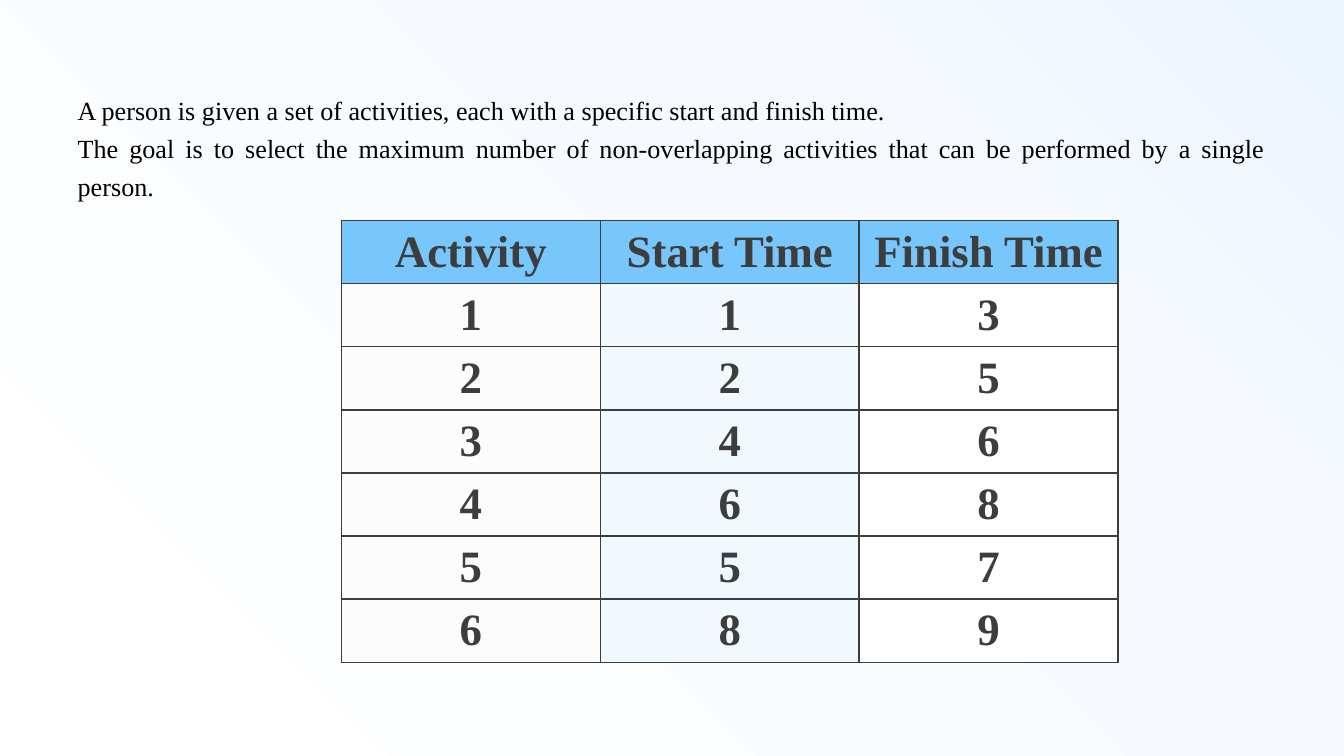
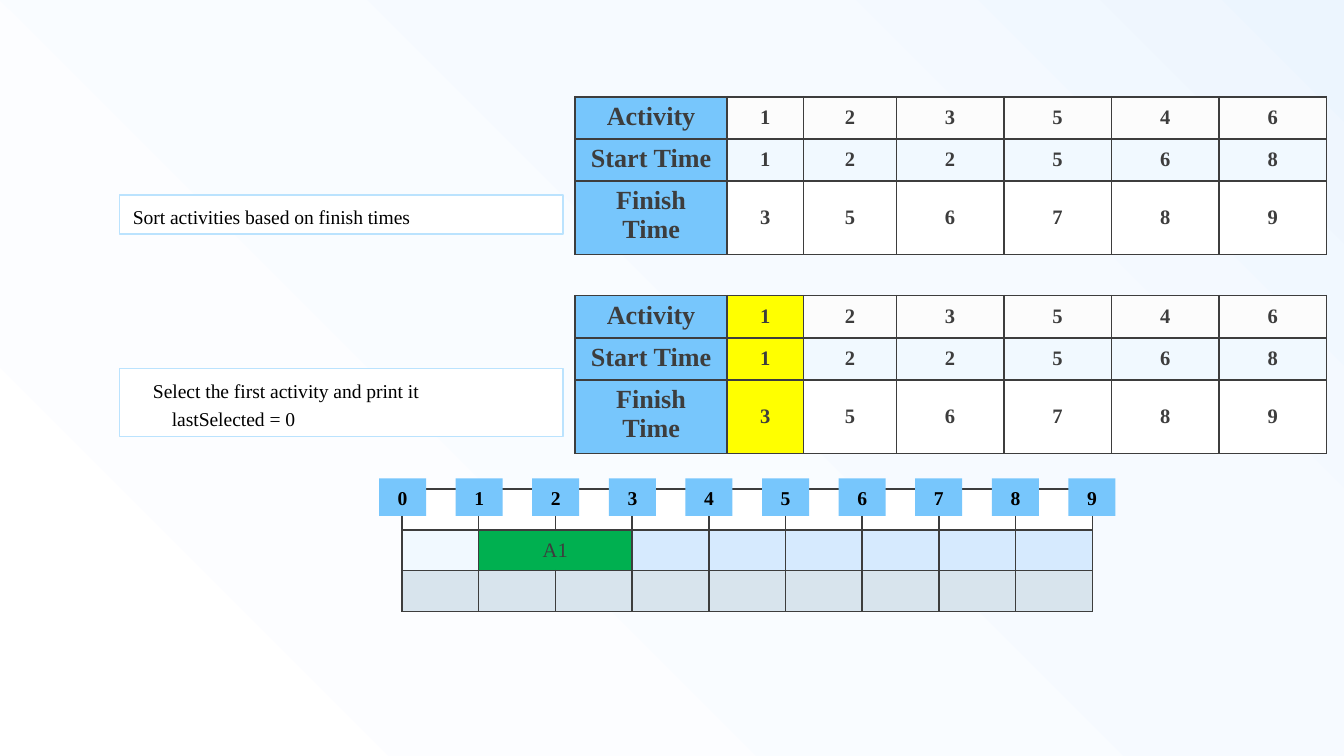
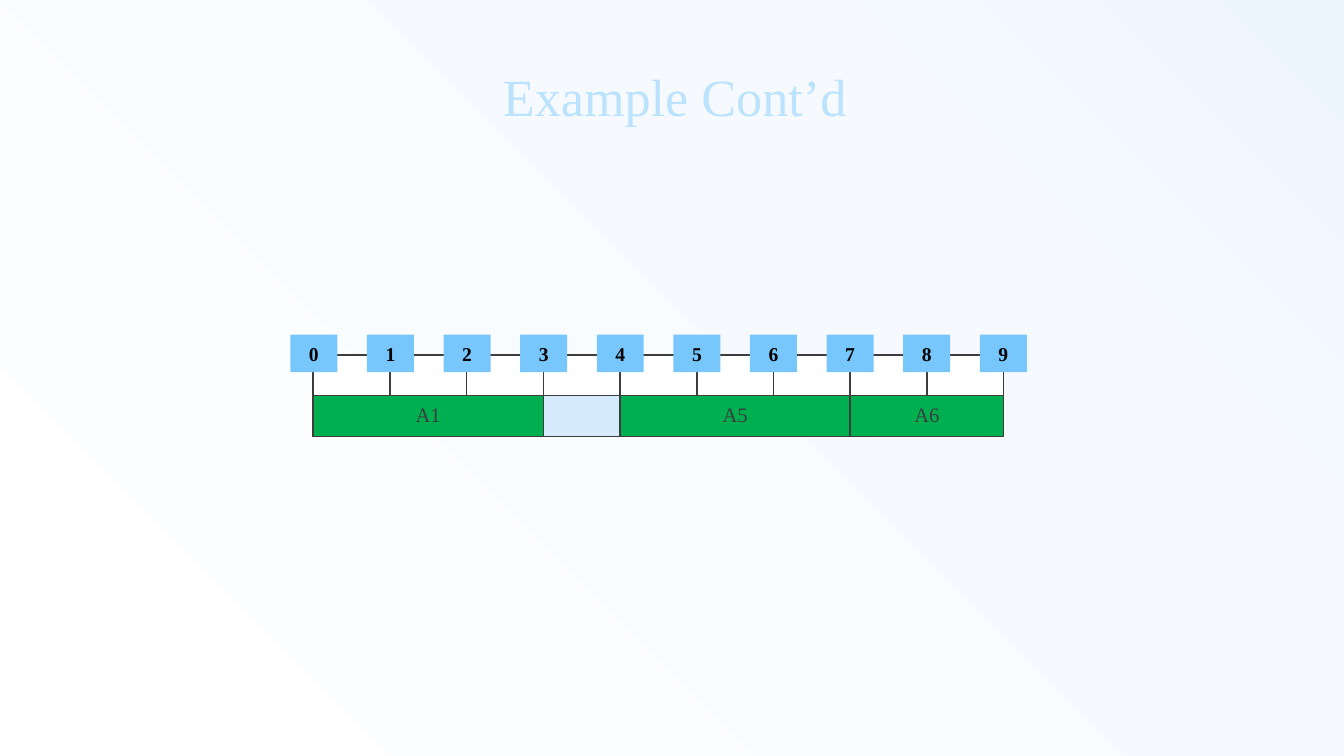
from lxml import etree
from pptx import Presentation
from pptx.dml.color import RGBColor
from pptx.enum.shapes import MSO_SHAPE
from pptx.enum.text import MSO_ANCHOR, PP_ALIGN
from pptx.oxml import parse_xml
from pptx.oxml.ns import nsdecls, qn
from pptx.util import Inches, Pt

RECT = MSO_SHAPE.RECTANGLE
TOP, MIDDLE = MSO_ANCHOR.TOP, MSO_ANCHOR.MIDDLE
LEFT, CENTER, JUSTIFY = PP_ALIGN.LEFT, PP_ALIGN.CENTER, PP_ALIGN.JUSTIFY


class Theme:
    font = "Times New Roman"
    black, ink, white = "000000", "3D3D3D", "FFFFFF"
    header, pale_blue, near_white = "77C6FC", "F1F9FF", "FCFCFC"
    title, free, mist = "BBE3FE", "D6EAFE", "D8E4ED"
    chosen, busy = "FFFF00", "00B050"
    backdrop = [(0, "ECF5FE"), (29, "F6FAFF"), (99, "FFFFFF")]
    title_size, big, body, cell, small = 28, 24, 14, 11, 10.5
    tight, roomy = (0.03, 0.02), (0.07, 0.04)


# Content
INTRO = [
    "A person is given a set of activities, each with a specific start and finish time. ",
    "The goal is to select the maximum number of non-overlapping activities "
    "that can be performed by a single person.",
]
HEADINGS = ["Activity", "Start Time", "Finish Time"]
ACTIVITIES = [(1, 1, 3), (2, 2, 5), (3, 4, 6), (4, 6, 8), (5, 5, 7), (6, 8, 9)]
SORTED = [(1, 1, 3), (2, 2, 5), (3, 2, 6), (5, 5, 7), (4, 6, 8), (6, 8, 9)]
FIELD_FILLS = [Theme.near_white, Theme.pale_blue, Theme.white]
SORTED_WIDTHS = [1.13, 0.57, 0.69] + [0.8] * 4
# top, row heights, number of chosen activities
SORTED_TABLES = [(0.72, [0.3, 0.3, 0.3], 0), (2.2, [0.3, 0.3, 0.54], 1)]
# top, height, (text, indent) lines
STEPS = [
    (1.45, 0.29, [("Sort activities based on finish times", 0)]),
    (2.74, 0.51, [("Select the first activity and print it", 0.15),
                  ("lastSelected = 0", 0.29)]),
]
HOURS = 9
FIRST_PICK = [("A1", 1, 3)]
ALL_PICKS = [("A1", 0, 3), ("A5", 4, 7), ("A6", 7, 9)]


# Helpers
def rgb(value):
    return RGBColor.from_string(value)


def write(p, text, size, color=Theme.black, bold=False, align=LEFT, spacing=None):
    p.alignment = align
    if spacing:
        p.line_spacing = spacing
    r = p.add_run()
    r.text = text
    for name, value in dict(name=Theme.font, size=Pt(size), bold=bold).items():
        setattr(r.font, name, value)
    r.font.color.rgb = rgb(color)


def write_lines(tf, lines, size, align=LEFT):
    tf.word_wrap = True
    for i, (text, indent) in enumerate(lines):
        p = tf.add_paragraph() if i else tf.paragraphs[0]
        write(p, text, size, align=align, spacing=1.2)
        p._p.get_or_add_pPr().set("marL", str(Inches(indent)))


def add_box(slide, left, top, width, height, fill, line=None):
    sp = slide.shapes.add_shape(RECT, *map(Inches, (left, top, width, height)))
    sp.shadow.inherit = False
    sp.fill.solid()
    sp.fill.fore_color.rgb = rgb(fill)
    if line:
        sp.line.color.rgb = rgb(line)
        sp.line.width = Pt(0.75)
    else:
        sp.line.fill.background()
    sp.text_frame.vertical_anchor = MIDDLE
    return sp


def add_grid(slide, left, top, widths, heights):
    frame = slide.shapes.add_table(
        len(heights), len(widths),
        *map(Inches, (left, top, sum(widths), sum(heights))))
    table = frame.table
    table.horz_banding = False
    for column, width in zip(table.columns, widths):
        column.width = Inches(width)
    for row, height in zip(table.rows, heights):
        row.height = Inches(height)
    return table


def style_cell(cell, fill, text="", size=Theme.cell, bold=True,
               insets=Theme.roomy, anchor=MIDDLE):
    side, end = map(Inches, insets)
    form = dict(margin_left=side, margin_right=side, margin_top=end,
                margin_bottom=end, vertical_anchor=anchor)
    for name, value in form.items():
        setattr(cell, name, value)
    tcPr = cell._tc.get_or_add_tcPr()
    for edge in ("lnL", "lnR", "lnT", "lnB"):
        tcPr.append(parse_xml(
            f'<a:{edge} {nsdecls("a")} w="{Pt(1)}"><a:solidFill>'
            f'<a:srgbClr val="{Theme.ink}"/></a:solidFill></a:{edge}>'))
    cell.fill.solid()
    cell.fill.fore_color.rgb = rgb(fill)
    p = cell.text_frame.paragraphs[0]
    if text:
        write(p, text, size, Theme.ink, bold, CENTER)
    else:
        etree.SubElement(p._p, qn("a:endParaRPr"), sz=str(size * 100))


def add_timeline(slide, left, top, row_fills, picks, chip_rise):
    """Hour ticks over rows of hours; picks are merged in the second row."""
    table = add_grid(slide, left, top, [5.14 / HOURS] * HOURS,
                     [0.91 / 3] * len(row_fills))
    labels = {start: label for label, start, end in picks}
    taken = {hour for label, start, end in picks for hour in range(start, end)}
    for i, fills in enumerate(row_fills):
        for hour, fill in enumerate(fills):
            picked = i == 1 and hour in taken
            style_cell(table.cell(i, hour), Theme.busy if picked else fill,
                       labels.get(hour, "") if picked else "", bold=False)
    for label, start, end in picks:
        table.cell(1, start).merge(table.cell(1, end - 1))
    for hour in range(HOURS + 1):
        chip = add_box(slide, left - 0.17 + 0.57 * hour, top - chip_rise,
                       0.35, 0.28, Theme.header)
        write(chip.text_frame.paragraphs[0], str(hour), Theme.small,
              bold=True, align=CENTER)


def set_backdrop(master):
    stops = "".join(f'<a:gs pos="{pos * 1000}"><a:srgbClr val="{color}"/></a:gs>'
                    for pos, color in Theme.backdrop)
    cSld = master.element.find(qn("p:cSld"))
    for old in cSld.findall(qn("p:bg")):
        cSld.remove(old)
    cSld.insert(0, parse_xml(
        f'<p:bg {nsdecls("p", "a")}><p:bgPr><a:gradFill rotWithShape="1">'
        f'<a:gsLst>{stops}</a:gsLst><a:path path="circle">'
        '<a:fillToRect l="100000" b="100000"/></a:path></a:gradFill>'
        '<a:effectLst/></p:bgPr></p:bg>'))


# Slides
def problem_slide(prs, layout):
    slide = prs.slides.add_slide(layout)
    intro = slide.shapes.add_textbox(*map(Inches, (0.28, 0.61, 9.24, 4.4)))
    write_lines(intro.text_frame, [(text, 0.2) for text in INTRO],
                Theme.body, JUSTIFY)
    rows = [HEADINGS] + ACTIVITIES
    table = add_grid(slide, 2.54, 1.64, [5.78 / 3] * 3, [0.47] * len(rows))
    for i, row in enumerate(rows):
        for j, value in enumerate(row):
            style_cell(table.cell(i, j), FIELD_FILLS[j] if i else Theme.header,
                       str(value), Theme.big, insets=Theme.tight)


def selection_slide(prs, layout):
    slide = prs.slides.add_slide(layout)
    for top, heights, chosen in SORTED_TABLES:
        table = add_grid(slide, 4.28, top, SORTED_WIDTHS, heights)
        for i, (heading, values) in enumerate(zip(HEADINGS, zip(*SORTED))):
            style_cell(table.cell(i, 0), Theme.header, heading, Theme.body,
                       anchor=TOP)
            for j, value in enumerate(values):
                fill = Theme.chosen if j < chosen else FIELD_FILLS[i]
                style_cell(table.cell(i, j + 1), fill, str(value))
    for top, height, lines in STEPS:
        box = add_box(slide, 0.89, top, 3.3, height, Theme.white, Theme.title)
        write_lines(box.text_frame, lines, Theme.small)
    row_fills = [[Theme.white] * HOURS,
                 [Theme.pale_blue] + [Theme.free] * (HOURS - 1),
                 [Theme.mist] * HOURS]
    add_timeline(slide, 2.99, 3.64, row_fills, FIRST_PICK, 0.08)


def result_slide(prs, layout):
    slide = prs.slides.add_slide(layout)
    title = slide.shapes.title
    box = dict(left=0.52, top=0.41, width=9, height=0.6)
    for name, value in box.items():
        setattr(title, name, Inches(value))
    title.text_frame.vertical_anchor = MIDDLE
    write(title.text_frame.paragraphs[0], "Example Cont’d", Theme.title_size,
          Theme.title, align=CENTER)
    row_fills = [[Theme.white] * HOURS, [Theme.free] * HOURS]
    add_timeline(slide, 2.33, 2.64, row_fills, ALL_PICKS, 0.15)


def main():
    prs = Presentation()
    prs.slide_width = Inches(10)
    prs.slide_height = prs.slide_width * 9 // 16
    set_backdrop(prs.slide_master)
    title_only, blank = prs.slide_layouts[5], prs.slide_layouts[6]
    problem_slide(prs, blank)
    selection_slide(prs, blank)
    result_slide(prs, title_only)
    prs.save("out.pptx")


if __name__ == "__main__":
    main()
